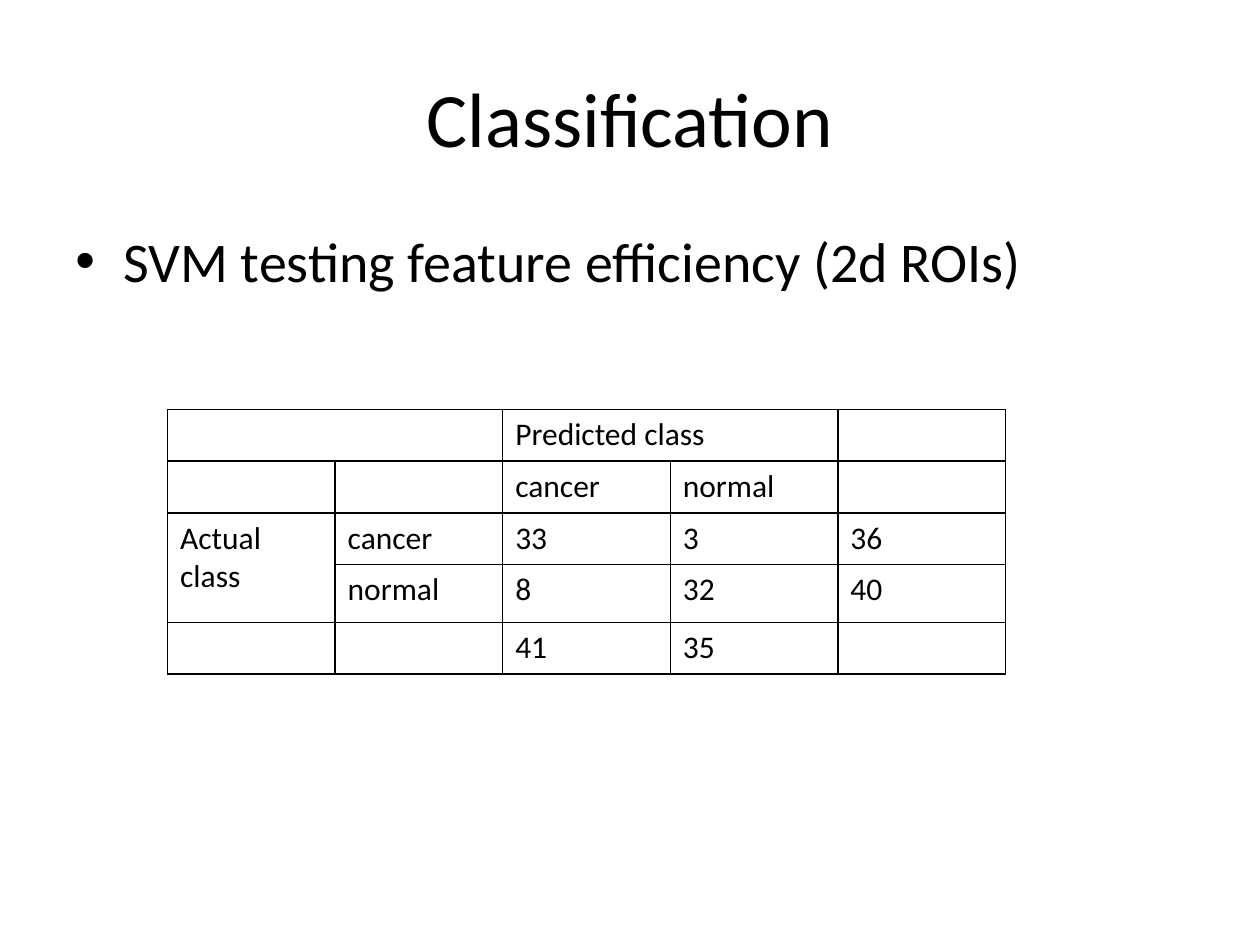
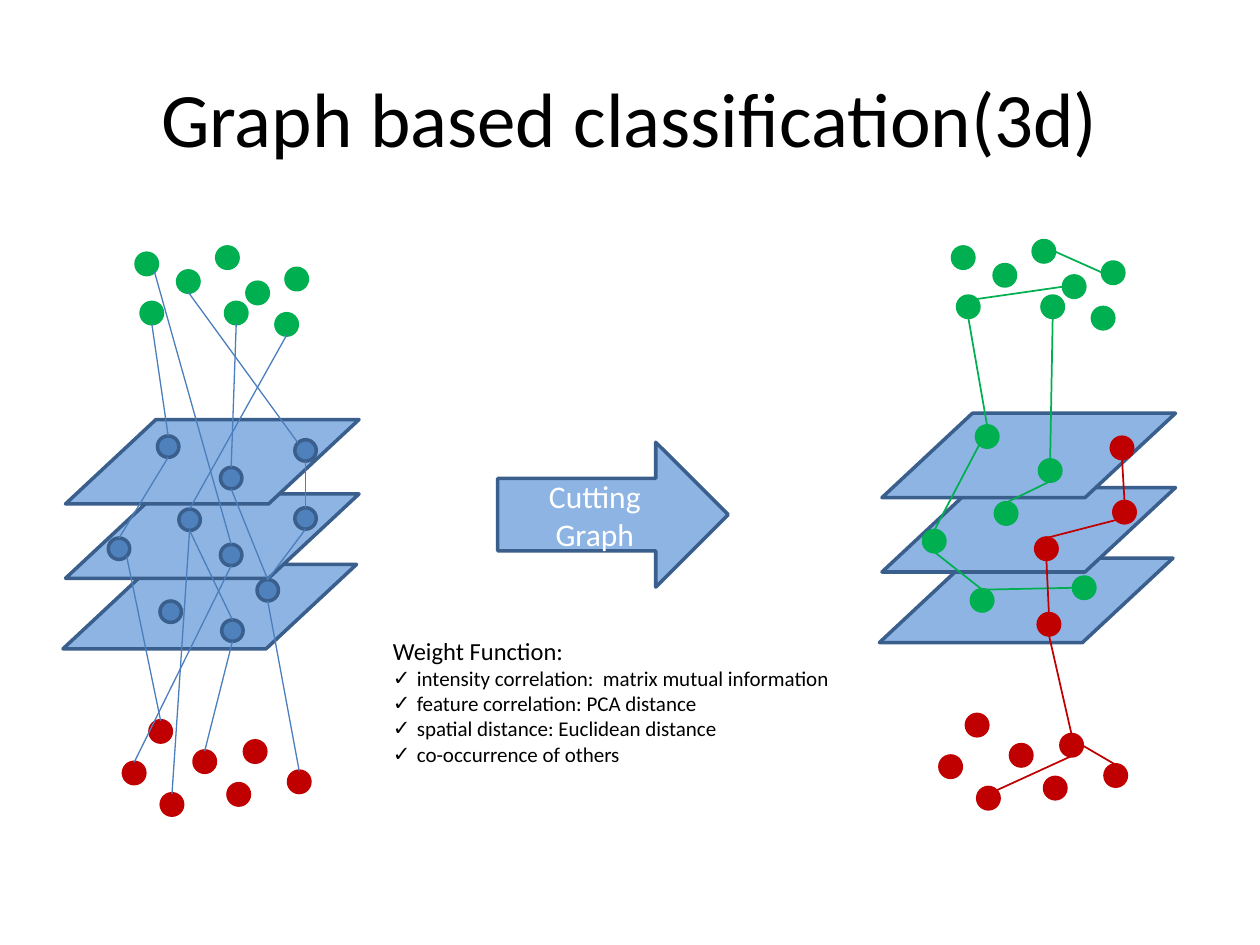
from dataclasses import dataclass

from lxml.etree import SubElement
from pptx import Presentation
from pptx.dml.color import RGBColor
from pptx.enum.shapes import MSO_CONNECTOR, MSO_SHAPE
from pptx.enum.text import MSO_ANCHOR, PP_ALIGN
from pptx.oxml.ns import qn
from pptx.util import Inches, Pt

# Shared style
FONT = "Calibri"
BLACK = RGBColor(0x00, 0x00, 0x00)
WHITE = RGBColor(0xFF, 0xFF, 0xFF)
PLATE_BLUE = RGBColor(0x8E, 0xB4, 0xE3)
OUTLINE_BLUE = RGBColor(0x3A, 0x5F, 0x8C)
NODE_BLUE = RGBColor(0x4F, 0x81, 0xBD)
LINK_BLUE = RGBColor(0x4B, 0x7E, 0xBC)
GREEN = RGBColor(0x00, 0xB0, 0x50)
RED = RGBColor(0xC0, 0x00, 0x00)

NODE_SIZE = 0.17
RADIUS = NODE_SIZE / 2
DIAGONAL = RADIUS * 0.71
SIDES = {
    "n": (0, -RADIUS), "s": (0, RADIUS), "e": (RADIUS, 0), "w": (-RADIUS, 0),
    "ne": (DIAGONAL, -DIAGONAL), "nw": (-DIAGONAL, -DIAGONAL),
    "se": (DIAGONAL, DIAGONAL), "sw": (-DIAGONAL, DIAGONAL),
}


@dataclass(frozen=True)
class NodeSet:
    """Nodes of one colour; a node's name is the prefix plus its index."""
    prefix: str
    fill: RGBColor
    line: RGBColor
    places: tuple[tuple[float, float], ...]

    def moved(self, dx: float, dy: float) -> "NodeSet":
        places = tuple((x + dx, y + dy) for x, y in self.places)
        return NodeSet(self.prefix, self.fill, self.line, places)


@dataclass(frozen=True)
class LinkSet:
    """Links of one colour, each written as 'node side node side'."""
    color: RGBColor
    width: float
    links: tuple[str, ...]


# Graph content
PLATES = ((0.5, 4.48), (0.52, 3.92), (0.52, 3.33))
SINKS = NodeSet("sink", RED, RED, (
    (0.98, 6.05), (1.28, 6.3), (1.81, 6.22), (1.19, 5.72), (1.54, 5.96),
    (1.94, 5.88), (2.29, 6.12)))
SOURCES = NodeSet("source", GREEN, GREEN, (
    (1.08, 2.01), (1.41, 2.15), (1.72, 1.96), (1.12, 2.4), (1.96, 2.24),
    (2.19, 2.49), (1.79, 2.4), (2.27, 2.13)))
VOXELS = NodeSet("voxel", NODE_BLUE, OUTLINE_BLUE, (
    (1.25, 3.46), (2.34, 3.49), (0.86, 4.27), (1.75, 3.71), (1.42, 4.04),
    (2.34, 4.03), (1.27, 4.77), (1.76, 4.92), (1.75, 4.32), (2.04, 4.6)))
FULL_LINKS = LinkSet(LINK_BLUE, 0.75, (
    "source3 s voxel0 n", "source0 se voxel8 n", "source5 s voxel4 n",
    "source1 s voxel1 nw", "source6 s voxel3 n", "voxel8 s sink0 n",
    "voxel4 s sink1 n", "voxel2 se sink3 n", "voxel9 s sink6 n",
    "voxel7 s sink4 n", "voxel1 s voxel5 n", "voxel5 s voxel9 n",
    "voxel3 s voxel9 n", "voxel0 s voxel2 n", "voxel4 s voxel7 n"))

CUT_SHIFT = (6.48, -0.05)
GREEN_VOXELS = NodeSet("green", GREEN, GREEN, (
    (8.52, 4.58), (7.9, 3.99), (7.71, 4.68), (7.75, 3.38), (8.25, 3.65),
    (7.33, 4.21)))
RED_VOXELS = NodeSet("red", RED, RED, (
    (8.24, 4.87), (8.84, 3.98), (8.82, 3.47), (8.22, 4.27)))
GREEN_LINKS = LinkSet(GREEN, 1, (
    "source3 s green3 n", "source6 s green4 n", "green3 sw green5 n",
    "green0 w green2 n", "green5 s green2 n", "green4 s green1 n",
    "source4 w source3 ne", "source7 w source2 e"))
RED_LINKS = LinkSet(RED, 1, (
    "red2 s red1 n", "red1 sw red3 n", "red3 s red0 n", "red0 s sink5 n",
    "sink5 s sink1 ne", "sink5 e sink6 n"))

WEIGHTS = (
    "intensity correlation:  matrix mutual information",
    "feature correlation: PCA distance",
    "spatial distance: Euclidean distance",
    "co-occurrence of others",
)

# Confusion matrix content
MATRIX = (
    ("", "", "Predicted class", "", ""),
    ("", "", "cancer", "normal", ""),
    ("Actual class", "cancer", "33", "3", "36"),
    ("", "normal", "8", "32", "40"),
    ("", "", "41", "35", ""),
)
MATRIX_MERGES = (((0, 0), (0, 1)), ((0, 2), (0, 3)), ((2, 0), (3, 0)))
MATRIX_ROWS = (0.41, 0.41, 0.41, 0.46, 0.41)
MATRIX_COLUMN = 1.33


def style_text(paragraph, size: float, color: RGBColor = BLACK) -> None:
    for run in paragraph.runs:
        run.font.name = FONT
        run.font.size = Pt(size)
        run.font.color.rgb = color


def add_bullet(paragraph, char: str, indent: float) -> None:
    properties = paragraph._p.get_or_add_pPr()
    properties.set("marL", str(Inches(indent)))
    properties.set("indent", str(-Inches(indent)))
    SubElement(properties, qn("a:buFont")).set("typeface", "Arial")
    SubElement(properties, qn("a:buChar")).set("char", char)


def add_titled_slide(deck, text: str):
    slide = deck.slides.add_slide(deck.slide_layouts[5])
    title = slide.shapes.title
    title.left, title.top = Inches(0.5), Inches(0.3)
    title.width, title.height = Inches(9), Inches(1.25)
    title.text_frame.text = text
    title.text_frame.vertical_anchor = MSO_ANCHOR.MIDDLE
    heading = title.text_frame.paragraphs[0]
    heading.alignment = PP_ALIGN.CENTER
    style_text(heading, 44)
    return slide


def add_filled(shapes, kind, x: float, y: float, width: float, height: float,
               fill: RGBColor, line: RGBColor):
    shape = shapes.add_shape(kind, Inches(x), Inches(y), Inches(width), Inches(height))
    shape.shadow.inherit = False
    shape.fill.solid()
    shape.fill.fore_color.rgb = fill
    shape.line.color.rgb = line
    shape.line.width = Pt(2)
    return shape


def add_link(shapes, start: tuple[float, float], end: tuple[float, float],
             style: LinkSet) -> None:
    link = shapes.add_connector(
        MSO_CONNECTOR.STRAIGHT, *(Inches(length) for length in (*start, *end)))
    link.line.color.rgb = style.color
    link.line.width = Pt(style.width)
    SubElement(link._element.spPr, qn("a:effectLst"))


def add_graph(slide, shift: tuple[float, float], node_sets: tuple[NodeSet, ...],
              link_sets: tuple[LinkSet, ...]) -> None:
    shapes = slide.shapes.add_group_shape().shapes
    dx, dy = shift
    for x, y in PLATES:
        plate = add_filled(shapes, MSO_SHAPE.PARALLELOGRAM, x + dx, y + dy,
                           2.33, 0.67, PLATE_BLUE, OUTLINE_BLUE)
        plate.adjustments[0] = 1.072

    centers = {}
    for nodes in node_sets:
        for index, (x, y) in enumerate(nodes.places):
            add_filled(shapes, MSO_SHAPE.OVAL, x, y, NODE_SIZE, NODE_SIZE,
                       nodes.fill, nodes.line)
            centers[f"{nodes.prefix}{index}"] = (x + RADIUS, y + RADIUS)

    def edge_point(node: str, side: str) -> tuple[float, float]:
        return (centers[node][0] + SIDES[side][0], centers[node][1] + SIDES[side][1])

    for link_set in link_sets:
        for link in link_set.links:
            start, start_side, end, end_side = link.split()
            add_link(shapes, edge_point(start, start_side),
                     edge_point(end, end_side), link_set)


def add_borders(cell) -> None:
    properties = cell._tc.get_or_add_tcPr()
    for edge in ("a:lnL", "a:lnR", "a:lnT", "a:lnB"):
        border = SubElement(properties, qn(edge), w=str(Pt(1)))
        fill = SubElement(border, qn("a:solidFill"))
        SubElement(fill, qn("a:srgbClr")).set("val", str(BLACK))


def add_matrix(slide) -> None:
    columns = len(MATRIX[0])
    table = slide.shapes.add_table(
        len(MATRIX), columns, Inches(1.33), Inches(3.25),
        Inches(MATRIX_COLUMN * columns), Inches(sum(MATRIX_ROWS))).table
    table.first_row = False
    table.horz_banding = False
    for column in table.columns:
        column.width = Inches(MATRIX_COLUMN)
    for row, height in zip(table.rows, MATRIX_ROWS):
        row.height = Inches(height)
    for row, texts in zip(table.rows, MATRIX):
        for cell, text in zip(row.cells, texts):
            add_borders(cell)
            cell.fill.background()
            paragraph = cell.text_frame.paragraphs[0]
            if text:
                paragraph.text = text
                style_text(paragraph, 18)
    for first, last in MATRIX_MERGES:
        table.cell(*first).merge(table.cell(*last))


def build_classification(deck) -> None:
    slide = add_titled_slide(deck, "Classification")
    body = slide.shapes.add_textbox(Inches(0.5), Inches(1.75), Inches(9), Inches(4.95))
    body.text_frame.word_wrap = True
    point = body.text_frame.paragraphs[0]
    point.text = "SVM testing feature efficiency (2d ROIs)"
    add_bullet(point, "•", 0.38)
    style_text(point, 32)
    add_matrix(slide)


def build_graph_classification(deck) -> None:
    slide = add_titled_slide(deck, "Graph based classification(3d)")

    # Full graph, cutting step and cut graph
    add_graph(slide, (0, 0), (SINKS, SOURCES, VOXELS), (FULL_LINKS,))
    cutting = add_filled(slide.shapes, MSO_SHAPE.RIGHT_ARROW, 3.95, 3.51, 1.83, 1.15,
                         PLATE_BLUE, OUTLINE_BLUE)
    cutting.text_frame.text = "Cutting Graph"
    cutting.text_frame.word_wrap = True
    cutting.text_frame.vertical_anchor = MSO_ANCHOR.MIDDLE
    cutting.text_frame.paragraphs[0].alignment = PP_ALIGN.CENTER
    style_text(cutting.text_frame.paragraphs[0], 18, WHITE)
    add_graph(slide, CUT_SHIFT,
              (SINKS.moved(*CUT_SHIFT), SOURCES.moved(*CUT_SHIFT),
               GREEN_VOXELS, RED_VOXELS),
              (GREEN_LINKS, RED_LINKS))

    # Weight function
    weights = slide.shapes.add_textbox(Inches(3.02), Inches(5), Inches(3.7), Inches(1.14))
    frame = weights.text_frame
    frame.word_wrap = False
    frame.text = "Weight Function:"
    style_text(frame.paragraphs[0], 14)
    for weight in WEIGHTS:
        term = frame.add_paragraph()
        term.text = weight
        add_bullet(term, "✓", 0.19)
        style_text(term, 12)


def main() -> None:
    deck = Presentation()
    deck.slide_width, deck.slide_height = Inches(10), Inches(7.5)
    build_classification(deck)
    build_graph_classification(deck)
    deck.save("out.pptx")


if __name__ == "__main__":
    main()
